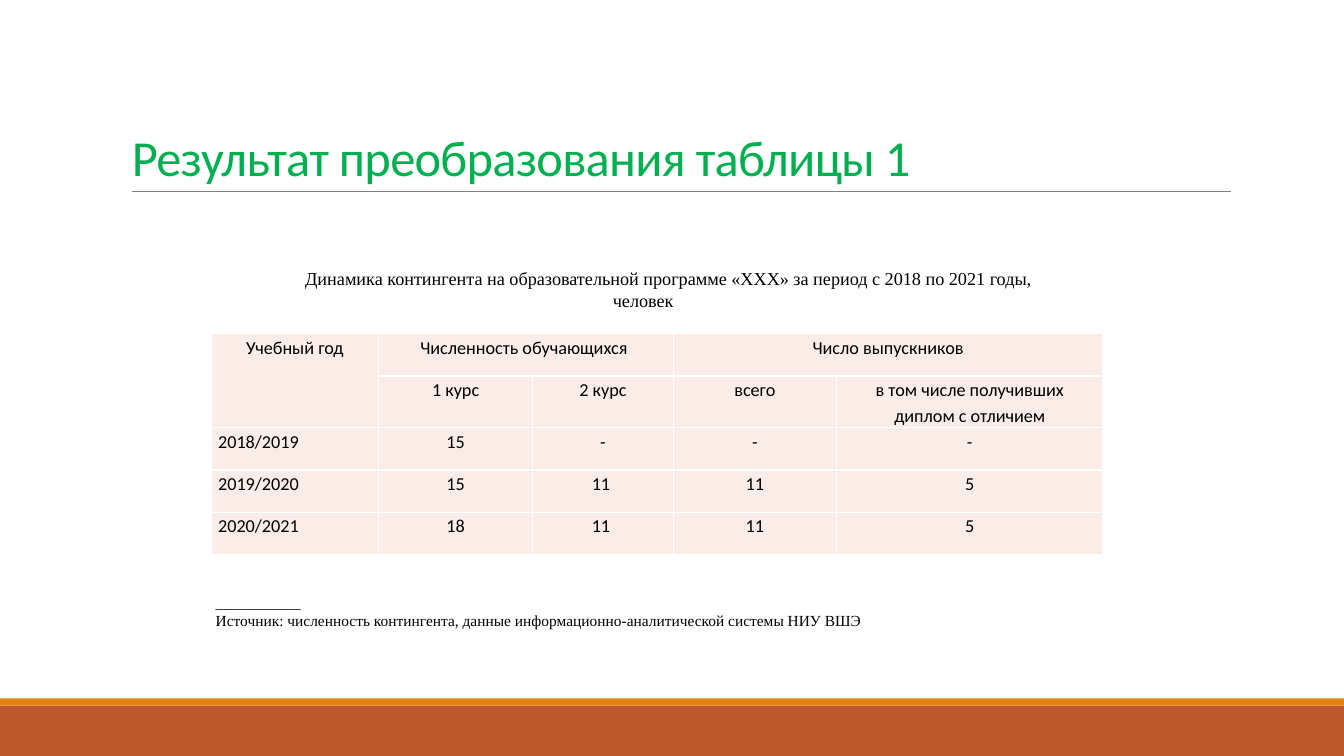
from dataclasses import dataclass

from lxml.etree import SubElement
from pptx import Presentation
from pptx.dml.color import RGBColor
from pptx.enum.shapes import MSO_CONNECTOR, MSO_SHAPE
from pptx.enum.text import MSO_ANCHOR, MSO_AUTO_SIZE, PP_ALIGN
from pptx.oxml.ns import qn
from pptx.util import Pt


@dataclass(frozen=True)
class Theme:
    title_color: str = "00B050"
    text_color: str = "000000"
    rule_color: str = "808080"
    footer_color: str = "BD582C"
    stripe_color: str = "E48312"
    cell_color: str = "FAEDE7"
    border_color: str = "FFFFFF"
    sans: str = "Calibri"
    serif: str = "Times New Roman"
    title_size: int = 36
    body_size: int = 13
    note_size: int = 11


THEME = Theme()
WIDTH, HEIGHT = 960, 540
COLUMNS = [119.5, 110.3, 100.3, 116.6, 190.3]
ROWS = [30.3, 36.8, 30.3, 30.3, 30.3]
CELLS = [
    ["Учебный год", "Численность обучающихся ", "", "Число выпускников", ""],
    ["", "1 курс", "2 курс", "всего", "в том числе получивших диплом с отличием"],
    ["2018/2019", "15", "-", "-", "-"],
    ["2019/2020", "15", "11 ", "11", "5"],
    ["2020/2021", "18", "11 ", "11", "5"],
]
MERGES = [((0, 0), (1, 0)), ((0, 1), (0, 2)), ((0, 3), (0, 4))]


def rgb(color):
    return RGBColor.from_string(color)


def set_font(p, name, size, color=THEME.text_color):
    p.font.name = name
    p.font.size = Pt(size)
    p.font.color.rgb = rgb(color)


def add_band(s, top, height, color):
    band = s.shapes.add_shape(MSO_SHAPE.RECTANGLE, 0, Pt(top), Pt(WIDTH), Pt(height))
    band.shadow.inherit = False
    band.fill.solid()
    band.fill.fore_color.rgb = rgb(color)
    band.line.fill.background()


def add_rule(s, left, right, y):
    rule = s.shapes.add_connector(MSO_CONNECTOR.STRAIGHT, Pt(left), Pt(y), Pt(right), Pt(y))
    rule.line.color.rgb = rgb(THEME.rule_color)
    rule.line.width = Pt(0.5)
    SubElement(rule._element.spPr, qn("a:effectLst"))


def fill_title(s, text):
    title = s.shapes.title
    title.left, title.top, title.width, title.height = Pt(86.9), Pt(22.6), Pt(792), Pt(114.2)
    tf = title.text_frame
    tf.auto_size = MSO_AUTO_SIZE.NONE
    tf.vertical_anchor = MSO_ANCHOR.BOTTOM
    p = tf.paragraphs[0]
    p.alignment = PP_ALIGN.LEFT
    p.line_spacing = 0.85
    r = p.add_run()
    r.text = text
    set_font(p, THEME.sans, THEME.title_size, THEME.title_color)
    r._r.get_or_add_rPr().set("spc", "-50")


def add_text(s, left, top, width, height, lines, size, align):
    """Add a serif text box whose paragraphs have an indented first line."""
    sp = s.shapes.add_textbox(Pt(left), Pt(top), Pt(width), Pt(height))
    tf = sp.text_frame
    tf.word_wrap = True
    tf.auto_size = MSO_AUTO_SIZE.SHAPE_TO_FIT_TEXT
    tf.vertical_anchor = MSO_ANCHOR.MIDDLE
    for i, line in enumerate(lines):
        p = tf.add_paragraph() if i else tf.paragraphs[0]
        p.text = line
        p.alignment = align
        p._p.get_or_add_pPr().set("indent", str(Pt(35.4)))
        set_font(p, THEME.serif, size)


def add_borders(cell):
    tc_pr = cell._tc.get_or_add_tcPr()
    for side in ("lnL", "lnR", "lnT", "lnB"):
        ln = SubElement(tc_pr, qn(f"a:{side}"), w=str(Pt(1)))
        fill = SubElement(ln, qn("a:solidFill"))
        SubElement(fill, qn("a:srgbClr"), val=THEME.border_color)


def format_cell(cell, text, align):
    cell.margin_left = cell.margin_right = Pt(5)
    cell.margin_top = cell.margin_bottom = 0
    add_borders(cell)
    cell.fill.solid()
    cell.fill.fore_color.rgb = rgb(THEME.cell_color)
    p = cell.text_frame.paragraphs[0]
    p.text = text
    p.alignment = align
    p.line_spacing = 1.15
    set_font(p, THEME.sans, THEME.body_size)


def add_student_table(s, left, top):
    frame = s.shapes.add_table(len(ROWS), len(COLUMNS), Pt(left), Pt(top),
                               Pt(sum(COLUMNS)), Pt(sum(ROWS)))
    table = frame.table
    table.first_row = table.horz_banding = False
    for column, width in zip(table.columns, COLUMNS):
        column.width = Pt(width)
    for row, height in zip(table.rows, ROWS):
        row.height = Pt(height)
    for i, texts in enumerate(CELLS):
        for j, text in enumerate(texts):
            is_year = i > 1 and j == 0
            align = PP_ALIGN.JUSTIFY if is_year else PP_ALIGN.CENTER
            format_cell(table.cell(i, j), text, align)
    for first, last in MERGES:
        table.cell(*first).merge(table.cell(*last))


def main():
    prs = Presentation()
    prs.slide_width, prs.slide_height = Pt(WIDTH), Pt(HEIGHT)
    s = prs.slides.add_slide(prs.slide_layouts[5])
    add_band(s, 504, 36, THEME.footer_color)
    add_band(s, 498.8, 5.2, THEME.stripe_color)
    add_rule(s, 94.2, 879, 136.8)
    fill_title(s, "Результат преобразования таблицы 1")
    add_student_table(s, 150.8, 238.3)
    add_text(s, 157.7, 187.2, 603.4, 38.9,
             ["Динамика контингента на образовательной программе «ХХХ» "
              "за период с 2018 по 2021 годы, человек"],
             THEME.body_size, PP_ALIGN.CENTER)
    add_text(s, 111.6, 419.8, 561.6, 33.8,
             ["___________",
              "Источник: численность контингента, данные "
              "информационно-аналитической системы НИУ ВШЭ"],
             THEME.note_size, PP_ALIGN.LEFT)
    prs.save("out.pptx")


if __name__ == "__main__":
    main()
